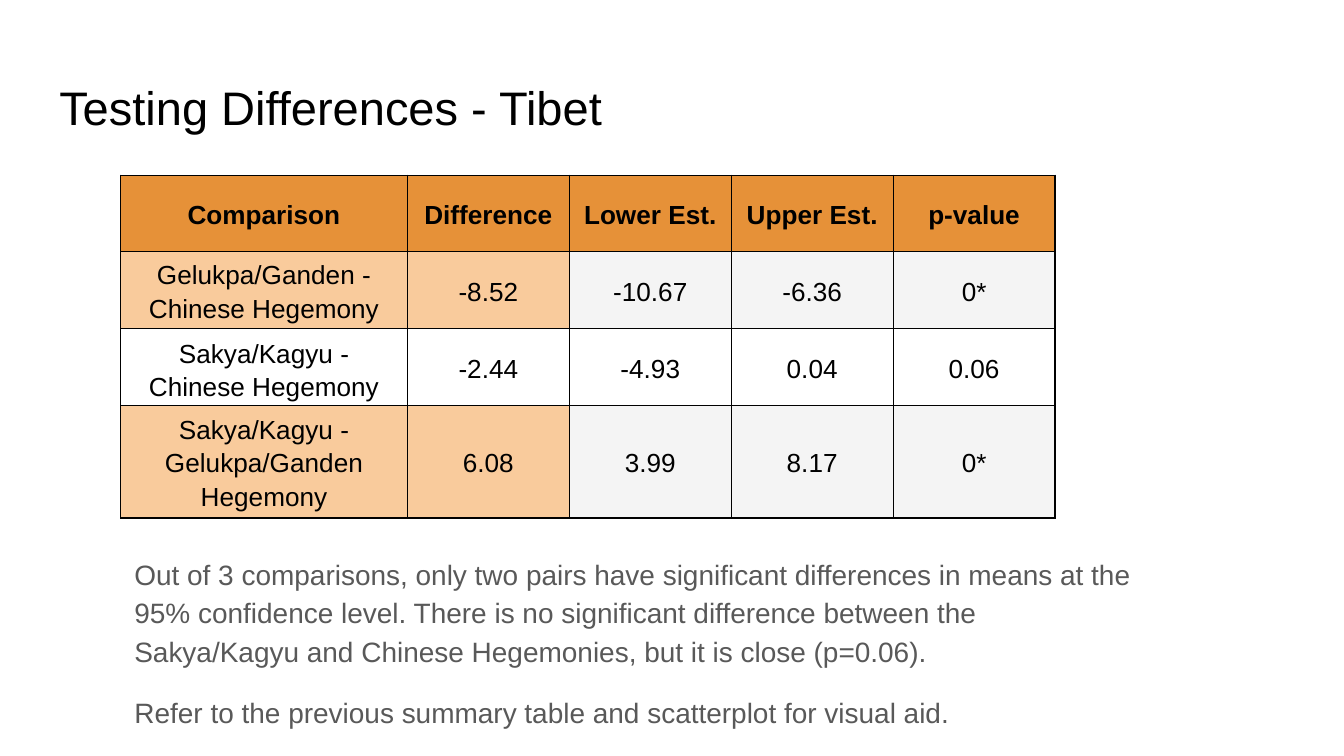
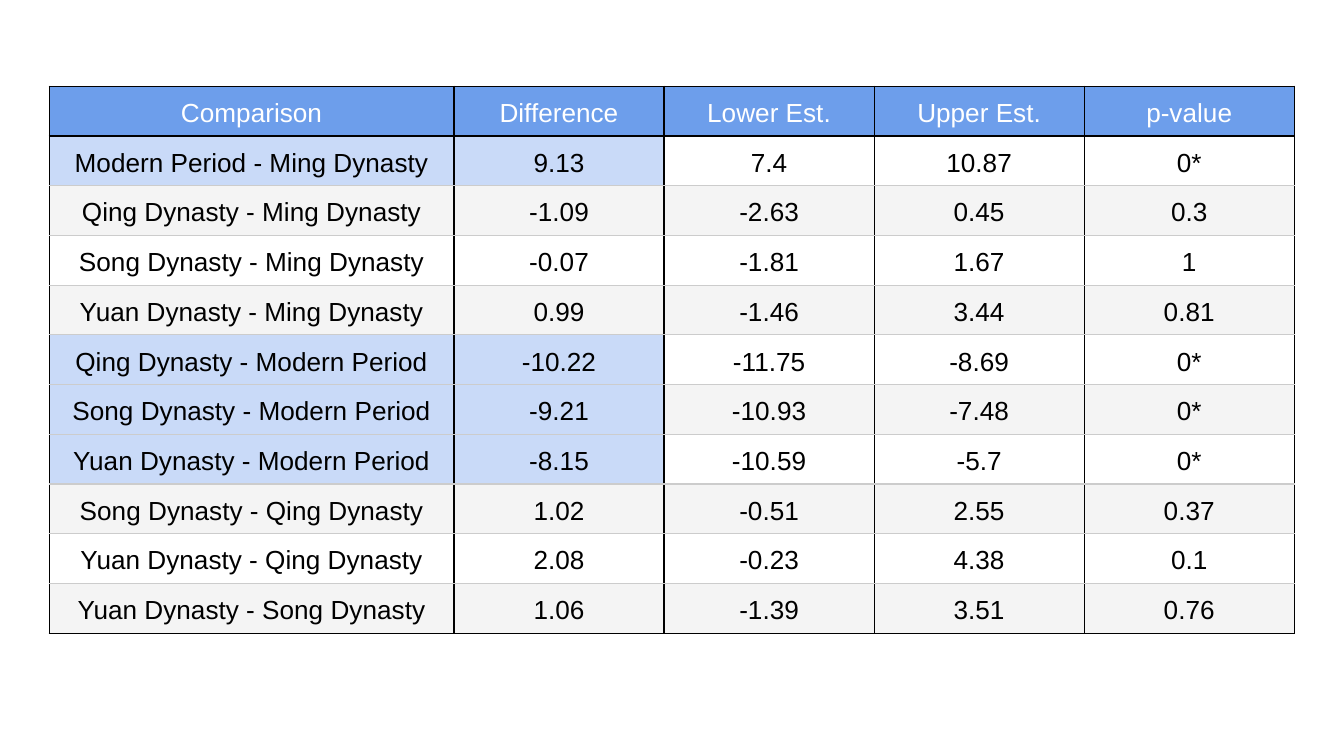
"""Build two slides of pairwise comparison tables."""
from dataclasses import dataclass

from lxml.etree import SubElement as SubEl
from pptx import Presentation as Deck
from pptx.dml.color import RGBColor as Rgb
from pptx.enum.text import MSO_ANCHOR as Anchor, MSO_AUTO_SIZE as Auto, PP_ALIGN as Align
from pptx.oxml.ns import qn
from pptx.util import Cm, Pt

BLACK = Rgb(0x00, 0x00, 0x00)
WHITE = Rgb(0xFF, 0xFF, 0xFF)
GREY = Rgb(0x59, 0x59, 0x59)
SILVER = Rgb(0xCC, 0xCC, 0xCC)
PALE = Rgb(0xF4, 0xF4, 0xF4)
ORANGE = Rgb(0xE6, 0x91, 0x38)
PEACH = Rgb(0xF9, 0xCB, 0x9C)
BLUE = Rgb(0x6D, 0x9E, 0xEB)
SKY = Rgb(0xC9, 0xDA, 0xF8)

FONT = "Arial"
PAD = Cm(0.25)
SPACING = 1.15
HEADS = ("Comparison", "Difference", "Lower Est.", "Upper Est.", "p-value")
PROVEN = "0*"


@dataclass(frozen=True)
class Grid:
    left: float
    top: float
    first: float
    rest: float
    heights: tuple[float, ...]
    rows: tuple[tuple[str, ...], ...]
    head: Rgb
    ink: Rgb
    bold: bool
    mark: Rgb
    bands: tuple[Rgb | None, Rgb | None]
    rule: Rgb
    low: tuple[int, ...] = ()


TIBET = Grid(
    left=2.28, top=3.31, first=5.42, rest=3.06, heights=(1.45, 1.45, 1.45, 2.13),
    rows=(
        ("Gelukpa/Ganden -\nChinese Hegemony", "-8.52", "-10.67", "-6.36", PROVEN),
        ("Sakya/Kagyu -\nChinese Hegemony", "-2.44", "-4.93", "0.04", "0.06"),
        ("Sakya/Kagyu -\nGelukpa/Ganden Hegemony", "6.08", "3.99", "8.17", PROVEN),
    ),
    head=ORANGE, ink=BLACK, bold=True, mark=PEACH, bands=(None, PALE), rule=BLACK, low=(2,),
)

CHINA = Grid(
    left=0.93, top=1.63, first=7.65, rest=3.97, heights=(0.94,) * 11,
    rows=(
        ("Modern Period - Ming Dynasty", "9.13", "7.4", "10.87", PROVEN),
        ("Qing Dynasty - Ming Dynasty", "-1.09", "-2.63", "0.45", "0.3"),
        ("Song Dynasty - Ming Dynasty", "-0.07", "-1.81", "1.67", "1"),
        ("Yuan Dynasty - Ming Dynasty", "0.99", "-1.46", "3.44", "0.81"),
        ("Qing Dynasty - Modern Period", "-10.22", "-11.75", "-8.69", PROVEN),
        ("Song Dynasty - Modern Period", "-9.21", "-10.93", "-7.48", PROVEN),
        ("Yuan Dynasty - Modern Period", "-8.15", "-10.59", "-5.7", PROVEN),
        ("Song Dynasty - Qing Dynasty", "1.02", "-0.51", "2.55", "0.37"),
        ("Yuan Dynasty - Qing Dynasty", "2.08", "-0.23", "4.38", "0.1"),
        ("Yuan Dynasty - Song Dynasty", "1.06", "-1.39", "3.51", "0.76"),
    ),
    head=BLUE, ink=WHITE, bold=False, mark=SKY, bands=(PALE, WHITE), rule=SILVER,
)

TITLE = "Testing Differences - Tibet"
NOTES = (
    "Out of 3 comparisons, only two pairs have significant differences in means at the "
    "95% confidence level. There is no significant difference between the "
    "Sakya/Kagyu and Chinese Hegemonies, but it is close (p=0.06).",
    "Refer to the previous summary table and scatterplot for visual aid.",
)


def write(frame, lines, size: float, ink: Rgb, bold: bool = False,
          align=Align.LEFT, spacing: float = SPACING, gap: float = 0) -> None:
    for n, line in enumerate(lines):
        para = frame.add_paragraph() if n else frame.paragraphs[0]
        para.alignment, para.line_spacing = align, spacing
        if n and gap:
            para.space_before = para.space_after = Pt(gap)
        run = para.add_run()
        run.text = line
        font = run.font
        font.name, font.size, font.bold = FONT, Pt(size), bold
        font.color.rgb = ink


def place(shape, left: float, top: float, width: float, height: float):
    shape.left, shape.top = Cm(left), Cm(top)
    shape.width, shape.height = Cm(width), Cm(height)
    frame = shape.text_frame
    frame.word_wrap = True
    frame.auto_size = Auto.NONE
    frame.vertical_anchor = Anchor.TOP
    frame.margin_left = frame.margin_right = PAD
    frame.margin_top = frame.margin_bottom = PAD
    return frame


def edge(cell, top: Rgb, base: Rgb) -> None:
    props = cell._tc.get_or_add_tcPr()
    for side, ink in (("L", BLACK), ("R", BLACK), ("T", top), ("B", base)):
        line = SubEl(props, qn(f"a:ln{side}"), w=str(Pt(0.75)))
        SubEl(SubEl(line, qn("a:solidFill")), qn("a:srgbClr"), val=str(ink))


def tint(cell, shade: Rgb | None) -> None:
    if shade is None:
        cell.fill.background()
    else:
        cell.fill.solid()
        cell.fill.fore_color.rgb = shade


def draw(slide, grid: Grid) -> None:
    widths = (grid.first,) + (grid.rest,) * (len(HEADS) - 1)
    last = len(grid.rows)
    table = slide.shapes.add_table(
        last + 1, len(HEADS), Cm(grid.left), Cm(grid.top),
        Cm(sum(widths)), Cm(sum(grid.heights))).table
    table.first_row = table.horz_banding = False
    for col, width in zip(table.columns, widths):
        col.width = Cm(width)
    for r, words in enumerate((HEADS, *grid.rows)):
        table.rows[r].height = Cm(grid.heights[r])
        for c, word in enumerate(words):
            cell = table.cell(r, c)
            cell.margin_left = cell.margin_right = Cm(0.08)
            cell.margin_top = cell.margin_bottom = Cm(0.05)
            sunk = c == 0 and r in grid.low
            cell.vertical_anchor = Anchor.BOTTOM if sunk else Anchor.MIDDLE
            edge(cell, BLACK if r <= 1 else grid.rule, BLACK if r in (0, last) else grid.rule)
            if r == 0:
                shade = grid.head
            elif c < 2 and words[-1] == PROVEN:
                shade = grid.mark
            else:
                shade = grid.bands[r % 2]
            tint(cell, shade)
            write(cell.text_frame, word.split("\n"), 14, BLACK if r else grid.ink,
                  bold=r == 0 and grid.bold, align=Align.CENTER)


def main() -> None:
    deck = Deck()
    deck.slide_width, deck.slide_height = Cm(25.4), Cm(14.29)

    tibet = deck.slides.add_slide(deck.slide_layouts[5])
    head = place(tibet.shapes.title, 0.87, 1.24, 23.67, 1.6)
    write(head, (TITLE,), 25.2, BLACK, spacing=1.0)
    draw(tibet, TIBET)
    box = tibet.shapes.add_textbox(0, 0, 0, 0)
    write(place(box, 2.29, 10.19, 19.5, 3.78), NOTES, 15, GREY, gap=12)

    china = deck.slides.add_slide(deck.slide_layouts[6])
    draw(china, CHINA)

    deck.save("out.pptx")


if __name__ == "__main__":
    main()
